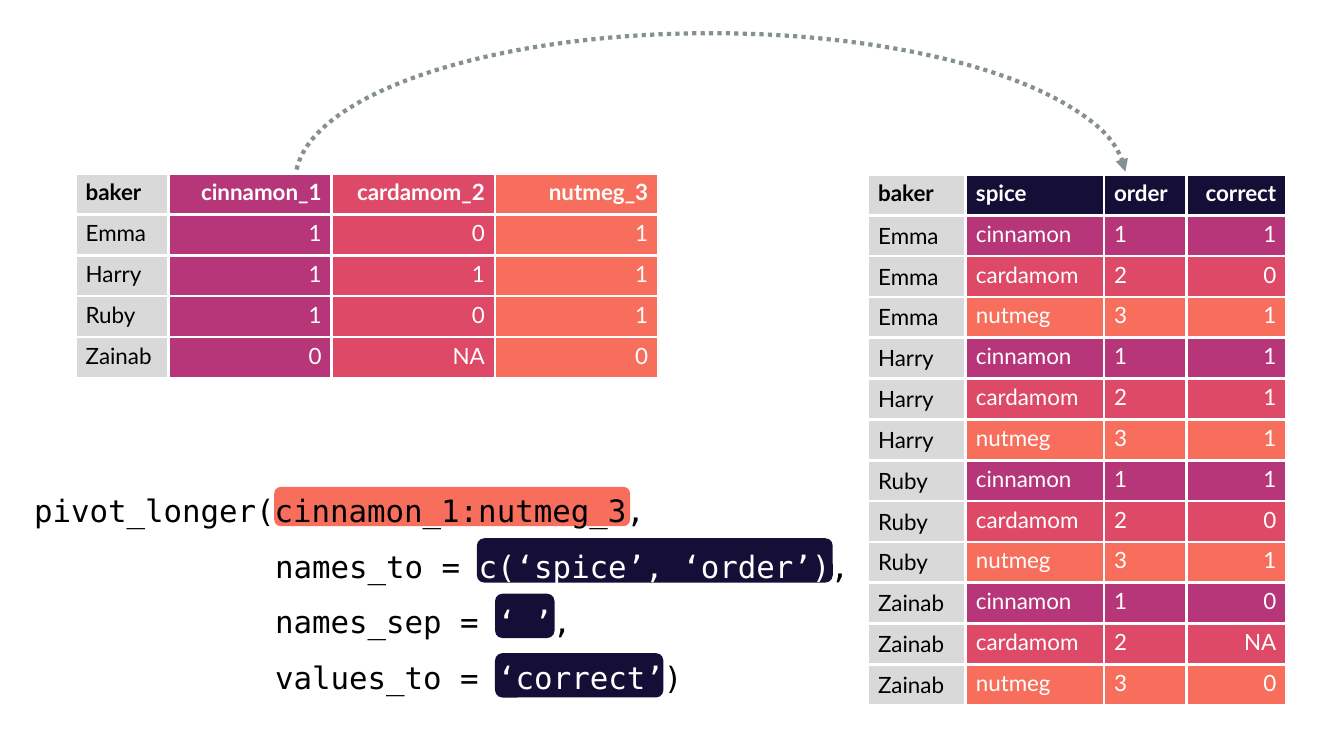
from lxml import etree
from pptx import Presentation
from pptx.dml.color import RGBColor
from pptx.enum.dml import MSO_LINE
from pptx.enum.shapes import MSO_SHAPE
from pptx.enum.text import MSO_ANCHOR, MSO_AUTO_SIZE, PP_ALIGN
from pptx.oxml.ns import qn
from pptx.util import Pt

SCALE = 9144
ROUND, ARC = MSO_SHAPE.ROUNDED_RECTANGLE, MSO_SHAPE.ARC
LEFT, RIGHT = PP_ALIGN.LEFT, PP_ALIGN.RIGHT
TOP, MIDDLE = MSO_ANCHOR.TOP, MSO_ANCHOR.MIDDLE
GROW, DOTS = MSO_AUTO_SIZE.SHAPE_TO_FIT_TEXT, MSO_LINE.ROUND_DOT
COLORS = {
    "white": "FFFFFF", "black": "000000", "grey": "D9D9D9", "navy": "150E37",
    "plum": "B63679", "rose": "DE4968", "coral": "F76F5C", "slate": "859094",
}
TINTS = ["plum", "rose", "coral"]
SPICES = ["cinnamon", "cardamom", "nutmeg"]
SCORES = {
    "Emma": ["1", "0", "1"],
    "Harry": ["1", "1", "1"],
    "Ruby": ["1", "0", "1"],
    "Zainab": ["0", "NA", "0"],
}
CELL = {"name": "Lato", "size": Pt(16)}
CODE = {"name": "DejaVu Sans Mono", "size": Pt(22)}
INDENT = 239
MARKS = [
    (491, 648, 167, 44, "navy"),
    (491, 589, 59, 44, "navy"),
    (272, 483, 353, 39, "coral"),
    (473, 534, 353, 44, "navy"),
]
CALL = [
    (0, [("pivot_longer(cinnamon_1:nutmeg_3,", "black")]),
    (INDENT, [("names_to = ", "black"), ("c(‘spice’, ‘order’)", "white"), (",", "black")]),
    (INDENT, [("names_sep = ", "black"), ("‘_’", "white"), (",", "black")]),
    (INDENT, [("values_to = ", "black"), ("‘correct’", "white"), (")", "black")]),
]


def px(*sizes):
    """Turn px lengths into EMU."""
    return [size * SCALE for size in sizes]


def rgb(name):
    """Look up a named colour."""
    return RGBColor.from_string(COLORS[name])


def style(font, look, ink):
    """Set font values and colour."""
    for key, value in look.items():
        setattr(font, key, value)
    font.color.rgb = rgb(ink)


def edge(cell):
    """Give a cell white borders on all sides."""
    props = cell._tc.get_or_add_tcPr()
    for spot, side in enumerate("LRTB"):
        line = etree.Element(qn("a:ln" + side), w=str(Pt(2.25)))
        fill = etree.SubElement(line, qn("a:solidFill"))
        etree.SubElement(fill, qn("a:srgbClr"), val=COLORS["white"])
        props.insert(spot, line)


def put_cell(cell, text, tint, align, bold, anchor):
    """Fill and format one table cell."""
    cell.fill.solid()
    cell.fill.fore_color.rgb = rgb(tint)
    cell.vertical_anchor = anchor
    edge(cell)
    para = cell.text_frame.paragraphs[0]
    para.alignment = align
    run = para.add_run()
    run.text = text
    style(run.font, CELL | {"bold": bold}, "black" if tint == "grey" else "white")


def put_table(slide, box, widths, rows, tints, aligns, anchor):
    """Add a table whose first column names the bakers."""
    frame = slide.shapes.add_table(len(rows), len(widths), *px(*box))
    table = frame.table
    table.first_row = table.horz_banding = False
    for col, width in zip(table.columns, px(*widths)):
        col.width = width
    for r, (row, shades) in enumerate(zip(rows, tints)):
        for c, text in enumerate(row):
            spot = anchor if r and c == 0 else TOP
            put_cell(table.cell(r, c), text, shades[c], aligns[c], r == 0, spot)


def put_wide(slide):
    """Add the table with one column per spice."""
    heads = [f"{spice}_{n}" for n, spice in enumerate(SPICES, 1)]
    rows = [["baker", *heads]] + [[who, *marks] for who, marks in SCORES.items()]
    tints = [["grey", *TINTS]] * len(rows)
    put_table(slide, (75, 172, 579, 203), (92, 162, 162, 162), rows, tints,
              [LEFT, RIGHT, RIGHT, RIGHT], TOP)


def put_long(slide):
    """Add the table with one row per baker and spice."""
    rows = [["baker", "spice", "order", "correct"]]
    tints = [["grey"] + ["navy"] * 3]
    for who, marks in SCORES.items():
        for n, (spice, mark, tint) in enumerate(zip(SPICES, marks, TINTS), 1):
            rows.append([who, spice, str(n), mark])
            tints.append(["grey"] + [tint] * 3)
    put_table(slide, (861, 173, 415, 527), (97, 137, 82, 99), rows, tints,
              [LEFT, LEFT, LEFT, RIGHT], MIDDLE)


def put_mark(shapes, left, top, width, height, tint):
    """Add a rounded highlight."""
    mark = shapes.add_shape(ROUND, *px(left, top, width, height))
    mark.shadow.inherit = False
    mark.fill.solid()
    mark.fill.fore_color.rgb = rgb(tint)
    mark.line.fill.background()


def put_code(shapes):
    """Add the function call."""
    frame = shapes.add_textbox(*px(24, 465, 987, 226)).text_frame
    frame.word_wrap = True
    frame.auto_size = GROW
    for n, (indent, runs) in enumerate(CALL):
        para = frame.add_paragraph() if n else frame.paragraphs[0]
        para.line_spacing = 1.5
        para._p.get_or_add_pPr().set("marL", str(indent * SCALE))
        for text, ink in runs:
            run = para.add_run()
            run.text = text
            style(run.font, CODE, ink)


def put_arc(slide):
    """Add the dotted arrow from the wide to the long table."""
    arc = slide.shapes.add_shape(ARC, *px(293, 33, 824, 293))
    arc.shadow.inherit = False
    arc.fill.background()
    arc.adjustments[0], arc.adjustments[1] = 0.94, 107.24
    frame = arc.element.spPr.find(qn("a:xfrm"))
    for flip in ("flipH", "flipV"):
        frame.set(flip, "1")
    arc.line.color.rgb = rgb("slate")
    arc.line.width = Pt(3)
    arc.line.dash_style = DOTS
    line = arc.element.spPr.find(qn("a:ln"))
    etree.SubElement(line, qn("a:tailEnd"), type="triangle")


def main():
    """Build and save the slide."""
    deck = Presentation()
    deck.slide_width, deck.slide_height = px(1333, 750)
    slide = deck.slides.add_slide(deck.slide_layouts[6])
    put_wide(slide)
    put_long(slide)
    group = slide.shapes.add_group_shape()
    for mark in MARKS:
        put_mark(group.shapes, *mark)
    put_code(group.shapes)
    put_arc(slide)
    deck.save("out.pptx")


if __name__ == "__main__":
    main()
